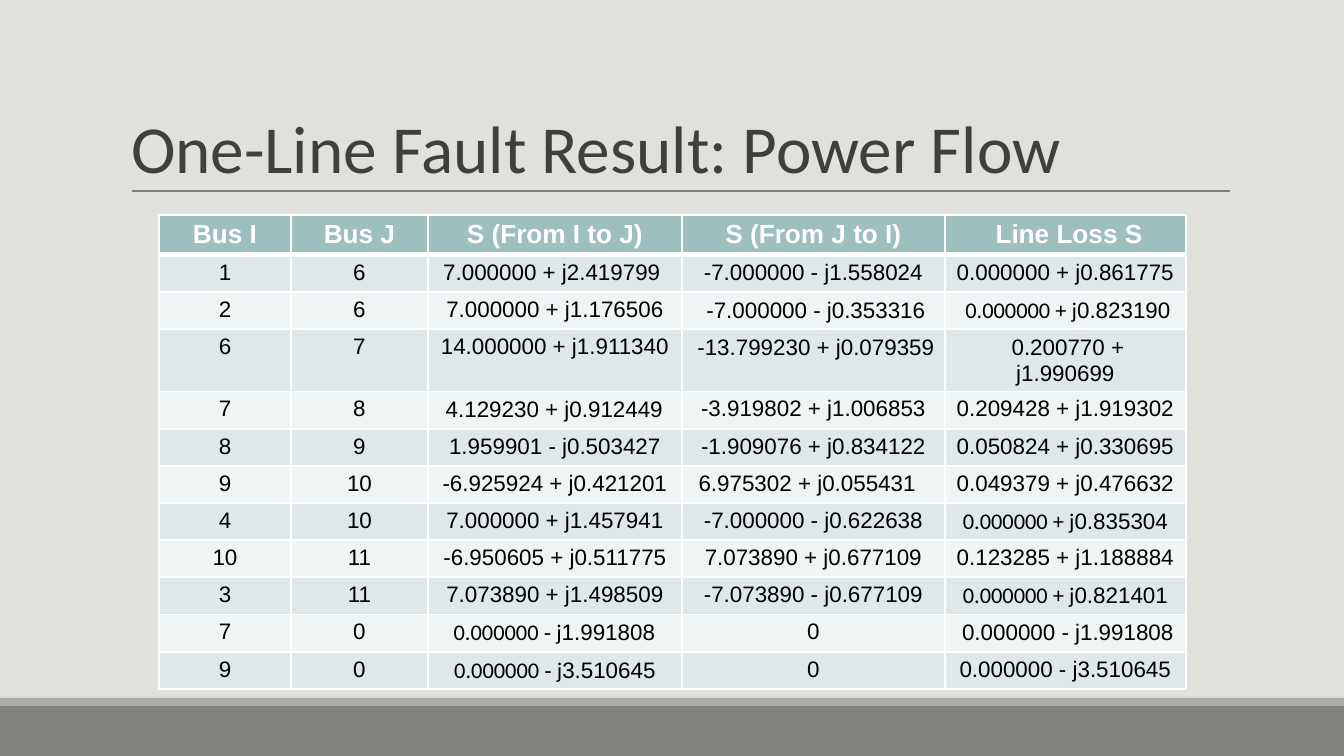
"""Build the power flow results slide for the one-line fault."""
from lxml import etree
from pptx import Presentation
from pptx.dml.color import RGBColor
from pptx.enum.shapes import MSO_CONNECTOR, MSO_SHAPE
from pptx.enum.text import MSO_ANCHOR, PP_ALIGN
from pptx.oxml.ns import qn
from pptx.util import Pt

PX = 914400 / 134.4
BACKGROUND = RGBColor(0xE1, 0xE1, 0xDB)
FOOTER = RGBColor(0x82, 0x83, 0x7C)
FOOTER_EDGE = RGBColor(0xAC, 0xAD, 0xA8)
RULE = RGBColor(0x7F, 0x7F, 0x7F)
TITLE = RGBColor(0x3F, 0x3F, 0x3F)
HEADER = RGBColor(0x9D, 0xBF, 0xBE)
BANDS = [RGBColor(0xEF, 0xF4, 0xF4), RGBColor(0xDE, 0xE8, 0xE8)]
WHITE = RGBColor(0xFF, 0xFF, 0xFF)
BLACK = RGBColor(0, 0, 0)

COLUMN_WIDTHS = [132, 137, 254, 263, 241]
HEADER_HEIGHT, ROW_HEIGHT = 40, 37
FONTS = ["Arial", "Calibri"]
# Each "|" switches between the two fonts, starting with Arial.
ROWS = [
    ["Bus I", "Bus J", "S (From I to J)", "S (From J to I)", " Line Loss S"],
    ["1", "6", "7.000000 + j2.419799 ", "-7.000000 - j1.558024", "0.000000 + j0.861775"],
    ["2", "6", "7.000000 + j1.176506", "| |-7.000000 - j0.353316", "| 0.000000 + j|0.823190"],
    ["6", "7", "14.000000 + j1.911340", "| |-13.799230 + j0.079359 ", "| |0.200770 + j1.990699"],
    ["7", "8", "| |4.129230 + j0.912449  ", "-3.919802 + j1.006853", "0.209428 + j1.919302"],
    ["8", "9", "1.959901 - j0.503427", "-1.909076 + j0.834122", "0.050824 + j0.330695"],
    ["9", "10", "-6.925924 + j0.421201", "6.975302 + j0.055431  ", "0.049379 + j0.476632"],
    ["4", "10", "7.000000 + j1.457941", "-7.000000 - j0.622638", "|0.000000 + j|0.835304"],
    ["10", "11", "-6.950605 + j0.511775", "7.073890 + j0.677109", "0.123285 + j1.188884"],
    ["3", "11", "7.073890 + j1.498509", "-7.073890 - j0.677109", "|0.000000 + j|0.821401"],
    ["7", "0", "| 0.000000 |-| j|1.991808 ", "0", "| |0.000000 - j1.991808"],
    ["9", "0", "|0.000000 |-| j|3.510645", "0", "0.000000 - j3.510645"],
]


def px(*lengths):
    """Turn pixels into EMU."""
    return [round(length * PX) for length in lengths]


def add_border(cell, side, points):
    """Draw one white cell border."""
    line = etree.SubElement(cell._tc.get_or_add_tcPr(), qn("a:ln" + side), w=str(Pt(points)))
    fill = etree.SubElement(line, qn("a:solidFill"))
    etree.SubElement(fill, qn("a:srgbClr"), val=str(WHITE))


prs = Presentation()
prs.slide_width, prs.slide_height = px(1344, 756)
slide = prs.slides.add_slide(prs.slide_layouts[5])
slide.background.fill.solid()
slide.background.fill.fore_color.rgb = BACKGROUND

for top, height, color in [(706, 50, FOOTER), (698, 8, FOOTER_EDGE)]:
    band = slide.shapes.add_shape(MSO_SHAPE.RECTANGLE, *px(0, top, 1344, height))
    band.shadow.inherit = False
    band.fill.solid()
    band.fill.fore_color.rgb = color
    band.line.fill.background()

rule = slide.shapes.add_connector(MSO_CONNECTOR.STRAIGHT, *px(132, 191, 1230, 191))
rule.line.color.rgb = RULE
rule.line.width = Pt(0.75)
etree.SubElement(rule._element.spPr, qn("a:effectLst"))

title = slide.shapes.title
title.left, title.top, title.width, title.height = px(121, 32, 1109, 160)
frame = title.text_frame
frame.text = "One-Line Fault Result: Power Flow"
frame.word_wrap = True
frame.vertical_anchor = MSO_ANCHOR.BOTTOM
frame.margin_left, frame.margin_right, frame.margin_top, frame.margin_bottom = px(10, 10, 5, 5)
heading = frame.paragraphs[0]
heading.alignment = PP_ALIGN.LEFT
heading.line_spacing = 0.85
heading.font.name = "Calibri"
heading.font.size = Pt(36)
heading.font.color.rgb = TITLE

table_height = HEADER_HEIGHT + ROW_HEIGHT * (len(ROWS) - 1)
table = slide.shapes.add_table(
    len(ROWS), len(COLUMN_WIDTHS), *px(159, 215, sum(COLUMN_WIDTHS), table_height)
).table
table.horz_banding = False
for column, width in zip(table.columns, COLUMN_WIDTHS):
    column.width = px(width)[0]

for r, values in enumerate(ROWS):
    is_header = r == 0
    table.rows[r].height = px(HEADER_HEIGHT if is_header else ROW_HEIGHT)[0]
    for c, value in enumerate(values):
        cell = table.cell(r, c)
        cell.margin_left, cell.margin_right, cell.margin_top, cell.margin_bottom = px(10, 10, 5, 5)
        for side in "LRTB":
            thick = (is_header and side == "B") or (r == 1 and side == "T")
            add_border(cell, side, 3 if thick else 1)
        cell.fill.solid()
        cell.fill.fore_color.rgb = HEADER if is_header else BANDS[r % 2]
        paragraph = cell.text_frame.paragraphs[0]
        paragraph.alignment = PP_ALIGN.CENTER
        for i, part in enumerate(value.split("|")):
            if part:
                run = paragraph.add_run()
                run.text = part
                run.font.name = FONTS[i % 2]
                run.font.size = Pt(14 if is_header else 12)
                run.font.bold = is_header
                run.font.color.rgb = WHITE if is_header else BLACK

prs.save("out.pptx")
